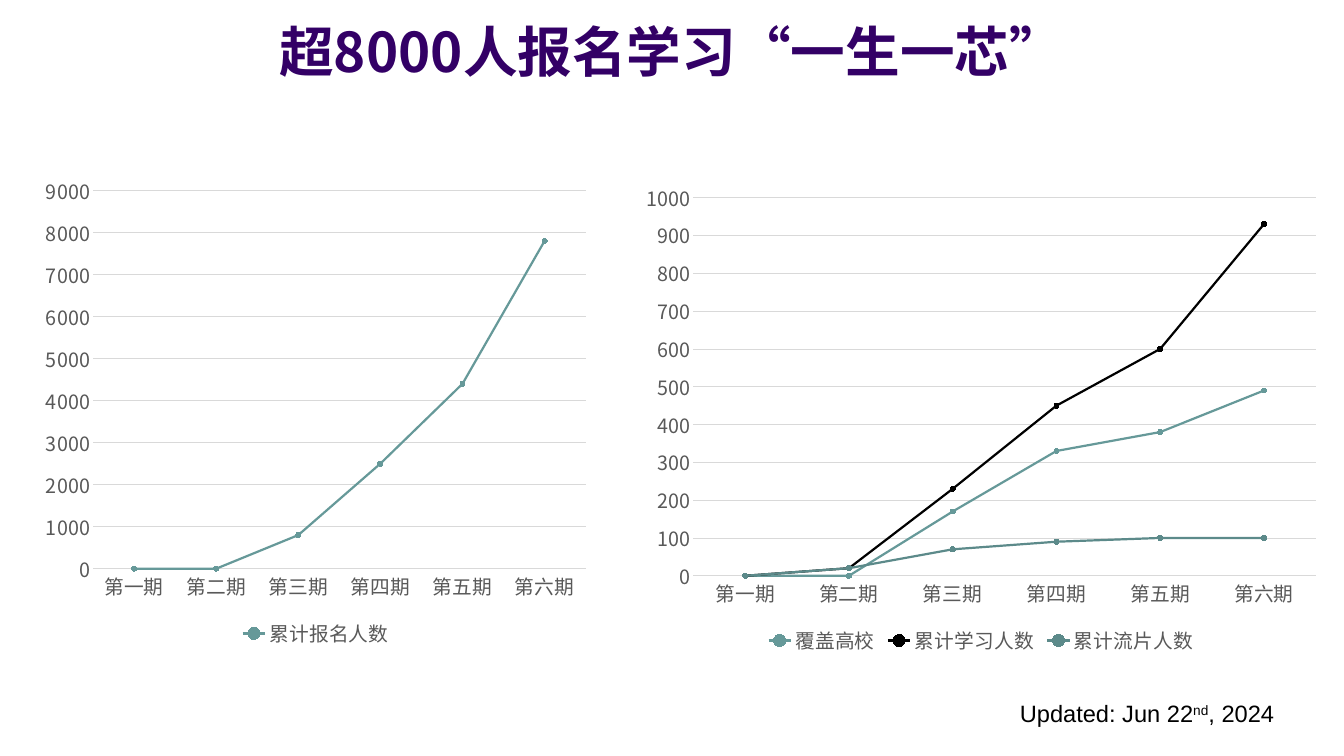
from dataclasses import dataclass

from lxml import etree
from pptx import Presentation
from pptx import util as u
from pptx.chart import data as cd
from pptx.dml import color as dml
from pptx.enum import chart as ec, text as et
from pptx.oxml import ns
from pptx.slide import Slide
from pptx.text.text import Font

HUES = {
    "title": "330066",
    "ink": "000000",
    "label": "595959",
    "grid": "D9D9D9",
    "teal": "669999",
    "deep": "5C8A8A",
}
CJK = "Noto Sans CJK SC"
TERMS = [f"第{n}期" for n in "一二三四五六"]


@dataclass
class Trend:
    name: str
    vals: list[int]
    hue: str


@dataclass
class Graph:
    left: float
    top: float
    width: float
    height: float
    peak: int
    step: int
    trends: list[Trend]


GRAPHS = [
    Graph(0.49, 2.35, 7.93, 6.85, 9000, 1000, [
        Trend("累计报名人数", [0, 0, 800, 2500, 4400, 7800], "teal"),
    ]),
    Graph(8.92, 2.45, 9.84, 6.85, 1000, 100, [
        Trend("覆盖高校", [0, 0, 170, 330, 380, 490], "teal"),
        Trend("累计学习人数", [0, 20, 230, 450, 600, 930], "ink"),
        Trend("累计流片人数", [0, 20, 70, 90, 100, 100], "deep"),
    ]),
]


def rgb(hue: str) -> dml.RGBColor:
    return dml.RGBColor.from_string(HUES[hue])


def style(font: Font, size: float, hue: str, face: str, bold: bool = False) -> None:
    font.size = u.Pt(size)
    font.name = face
    font.bold = bold
    font.color.rgb = rgb(hue)


def add_east(root: etree.ElementBase) -> None:
    for latin in list(root.iter(ns.qn("a:latin"))):
        east = etree.Element(ns.qn("a:ea"), typeface=latin.get("typeface"))
        latin.addnext(east)


def add_title(slide: Slide) -> None:
    title = slide.shapes.title
    title.left, title.top = u.Inches(0), u.Inches(0.19)
    title.width, title.height = u.Inches(18.96), u.Inches(1.04)
    frame = title.text_frame
    frame.auto_size = et.MSO_AUTO_SIZE.NONE
    frame.vertical_anchor = et.MSO_ANCHOR.MIDDLE
    para = frame.paragraphs[0]
    para.alignment = et.PP_ALIGN.CENTER
    run = para.add_run()
    run.text = "超8000人报名学习“一生一芯”"
    style(run.font, 55.5, "title", CJK, True)
    add_east(para._p)


def add_date(slide: Slide) -> None:
    box = slide.shapes.add_textbox(
        u.Inches(13.84), u.Inches(9.81), u.Inches(4.68), u.Inches(0.5))
    frame = box.text_frame
    frame.word_wrap = True
    frame.auto_size = et.MSO_AUTO_SIZE.SHAPE_TO_FIT_TEXT
    para = frame.paragraphs[0]
    para.alignment = et.PP_ALIGN.CENTER
    for words, raised in (("Updated: Jun 22", False), ("nd", True), (", 2024", False)):
        run = para.add_run()
        run.text = words
        style(run.font, 24, "ink", "Arial")
        if raised:
            run._r.get_or_add_rPr().set("baseline", "30000")


def add_graph(slide: Slide, graph: Graph) -> None:
    data = cd.CategoryChartData()
    data.categories = TERMS
    for trend in graph.trends:
        data.add_series(trend.name, trend.vals)
    chart = slide.shapes.add_chart(
        ec.XL_CHART_TYPE.LINE_MARKERS, u.Inches(graph.left), u.Inches(graph.top),
        u.Inches(graph.width), u.Inches(graph.height), data).chart
    chart.has_title = False
    style(chart.font, 20, "ink", CJK)

    chart.has_legend = True
    chart.legend.position = ec.XL_LEGEND_POSITION.BOTTOM
    chart.legend.include_in_layout = False
    style(chart.legend.font, 20, "label", CJK)

    base, scale = chart.category_axis, chart.value_axis
    for axis in (base, scale):
        axis.major_tick_mark = ec.XL_TICK_MARK.NONE
        axis.minor_tick_mark = ec.XL_TICK_MARK.NONE
        style(axis.tick_labels.font, 20, "label", CJK)
    scale.minimum_scale, scale.maximum_scale = 0, graph.peak
    scale.major_unit = graph.step
    scale.has_major_gridlines = True
    scale.format.line.fill.background()
    for line in (base.format.line, scale.major_gridlines.format.line):
        line.color.rgb = rgb("grid")
        line.width = u.Pt(0.75)

    plot = chart.plots[0]
    plot.vary_by_categories = False
    for trend, row in zip(graph.trends, plot.series):
        row.smooth = False
        row.format.line.color.rgb = rgb(trend.hue)
        row.format.line.width = u.Pt(2.25)
        mark = row.marker
        mark.style, mark.size = ec.XL_MARKER_STYLE.CIRCLE, 5
        mark.format.fill.solid()
        mark.format.fill.fore_color.rgb = rgb(trend.hue)
        mark.format.line.color.rgb = rgb(trend.hue)
    add_east(chart._chartSpace)


def main() -> None:
    deck = Presentation()
    deck.slide_width, deck.slide_height = u.Inches(18.96), u.Inches(10.67)
    slide = deck.slides.add_slide(deck.slide_layouts.get_by_name("Title Only"))
    add_title(slide)
    add_date(slide)
    for graph in GRAPHS:
        add_graph(slide, graph)
    deck.save("out.pptx")


if __name__ == "__main__":
    main()
